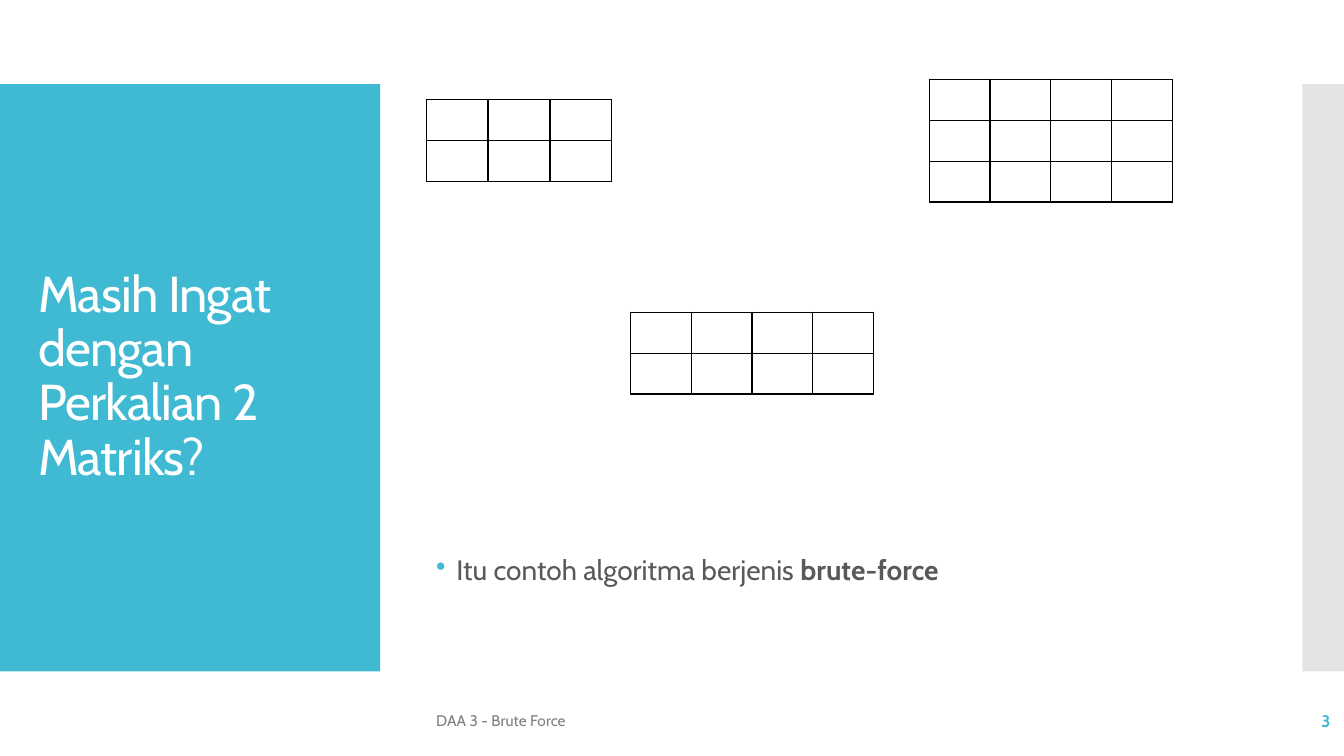
from lxml.etree import SubElement
from pptx import Presentation
from pptx.dml.color import RGBColor
from pptx.enum.shapes import MSO_SHAPE
from pptx.enum.text import MSO_ANCHOR, PP_ALIGN
from pptx.oxml.ns import qn
from pptx.util import Cm, Pt

COLORS = {"teal": "40BAD2", "gray": "C8C8C8", "white": "FFFFFF",
          "body": "595959", "foot": "808080", "black": "000000"}
FONT = "Cabin"


def color(name):
    """Return the named colour."""
    return RGBColor.from_string(COLORS[name])


def add_panel(slide, box, name, alpha=None):
    """Add a plain rectangle, see-through if alpha is given in percent."""
    panel = slide.shapes.add_shape(MSO_SHAPE.RECTANGLE, *map(Cm, box))
    panel.shadow.inherit = False
    panel.fill.solid()
    panel.fill.fore_color.rgb = color(name)
    panel.line.fill.background()
    if alpha:
        tint = panel.fill._xPr.find(".//" + qn("a:srgbClr"))
        SubElement(tint, qn("a:alpha"), val=str(alpha * 1000))


def add_text(slide, box, text, size, name, bold=None, align=PP_ALIGN.LEFT):
    """Add a centred-height text box and return its paragraph."""
    frame = slide.shapes.add_textbox(*map(Cm, box)).text_frame
    frame.word_wrap = True
    frame.vertical_anchor = MSO_ANCHOR.MIDDLE
    para = frame.paragraphs[0]
    para.add_run().text = text
    para.alignment = align
    font = para.font
    font.name, font.size, font.bold = FONT, Pt(size), bold
    font.color.rgb = color(name)
    return para


def add_bullet(para, name):
    """Give the paragraph a coloured bullet and a hanging indent."""
    props = para._p.get_or_add_pPr()
    props.set("marL", str(Cm(0.51)))
    props.set("indent", str(Cm(-0.51)))
    mark = props.makeelement(qn("a:buClr"))
    SubElement(mark, qn("a:srgbClr"), val=COLORS[name])
    char = props.makeelement(qn("a:buChar"), char="•")
    at = props.index(props.find(qn("a:defRPr")))
    props[at:at] = [mark, char]


def add_border(cell):
    """Draw a thin black line on all four sides of the cell."""
    props = cell._tc.get_or_add_tcPr()
    for spot, side in enumerate(("lnL", "lnR", "lnT", "lnB")):
        line = props.makeelement(qn("a:" + side), w=str(Pt(1)))
        fill = SubElement(line, qn("a:solidFill"))
        SubElement(fill, qn("a:srgbClr"), val=COLORS["black"])
        props.insert(spot, line)


def add_matrix(slide, left, top, rows, cols, width):
    """Add an empty bordered grid with equal cells."""
    high = 1.03
    box = map(Cm, (left, top, cols * width, rows * high))
    table = slide.shapes.add_table(rows, cols, *box).table
    table.first_row = table.horz_banding = False
    for cell in table.iter_cells():
        cell.fill.background()
        add_border(cell)


def main():
    """Build and save the slide."""
    deck = Presentation()
    deck.slide_width, deck.slide_height = Cm(33.87), Cm(19.05)
    slide = deck.slides.add_slide(deck.slide_layouts[6])

    add_panel(slide, (0, 2.12, 9.58, 14.8), "teal")
    add_panel(slide, (32.82, 2.12, 1.05, 14.8), "gray", 50)

    title = add_text(slide, (0.71, 3.12, 8.18, 12.78),
                     "Masih Ingat dengan Perkalian 2 Matriks?", 36, "white")
    title.line_spacing = 0.9
    title.runs[0].font._element.set("spc", "-60")

    body = add_text(slide, (10.74, 12.17, 20.32, 4.45),
                    "Itu contoh algoritma berjenis ", 20, "body")
    body.line_spacing = 0.9
    body.space_before = Pt(12)
    strong = body.add_run()
    strong.text = "brute-force"
    strong.font.bold = True
    add_bullet(body, "teal")

    add_text(slide, (10.74, 17.65, 16.41, 1.02), "DAA 3 - Brute Force", 11, "foot")
    add_text(slide, (29.54, 17.65, 4.24, 1.02), "3", 12, "teal", True, PP_ALIGN.RIGHT)

    add_matrix(slide, 10.74, 2.51, 2, 3, 1.56)
    add_matrix(slide, 23.42, 2, 3, 4, 1.53)
    add_matrix(slide, 15.89, 7.87, 2, 4, 1.53)
    deck.save("out.pptx")


if __name__ == "__main__":
    main()
